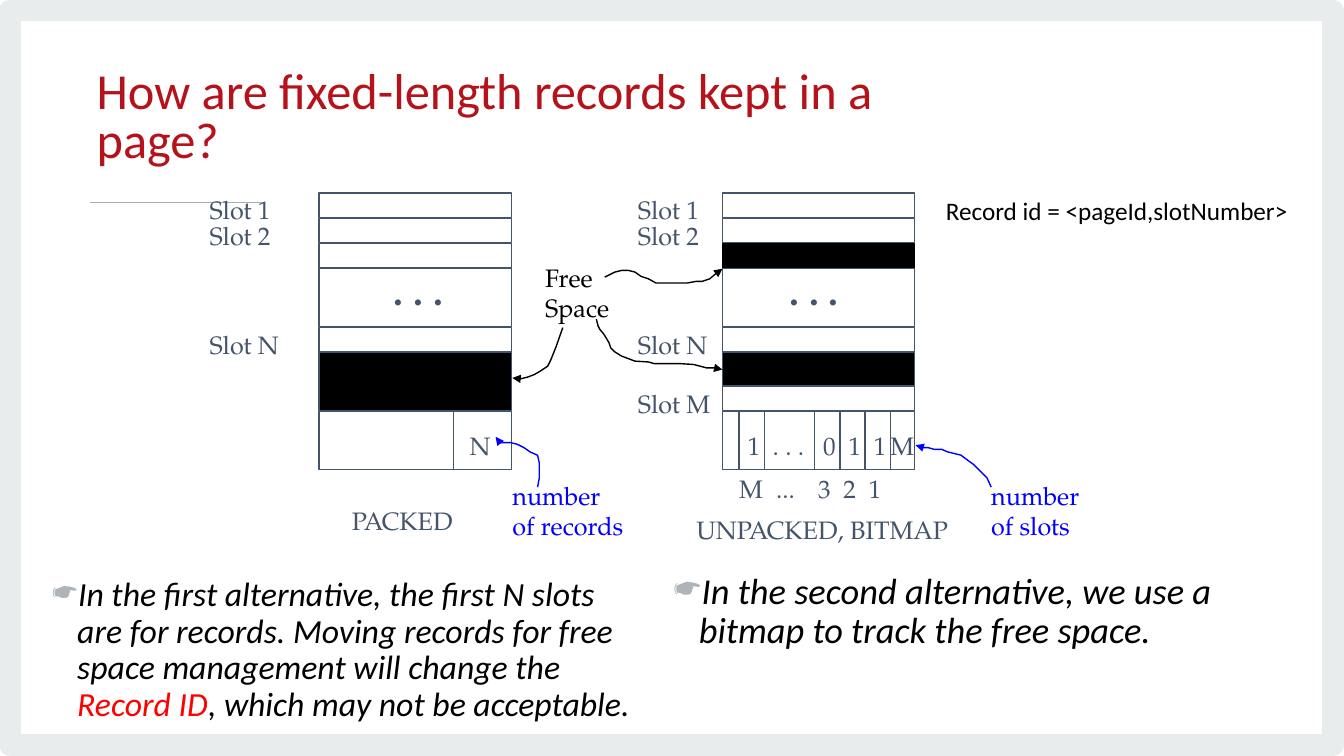
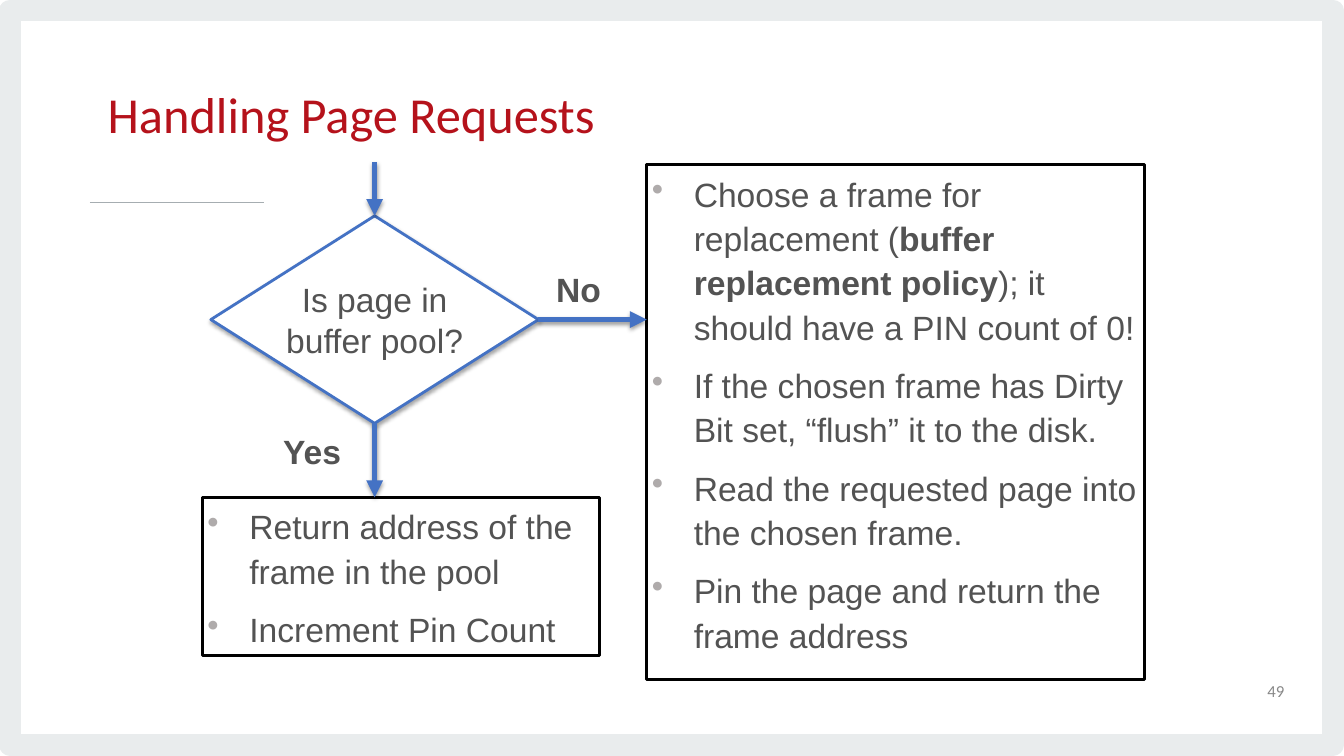
from dataclasses import dataclass, replace
from itertools import accumulate

from lxml.etree import SubElement as Sub
from pptx import Presentation
from pptx.dml.color import RGBColor as RGB
from pptx.enum.shapes import MSO_CONNECTOR as Link, MSO_SHAPE as Kind
from pptx.enum.text import MSO_ANCHOR as Anchor, PP_ALIGN as Align
from pptx.oxml.ns import qn
from pptx.util import Inches, Pt


@dataclass
class Style:
    font: str
    size: float
    color: str
    bold: bool = False
    ital: bool = False
    lead: object = None
    gap: float = 0
    mark: tuple = ()      # bullet sign, colour, indent
    align: object = Align.LEFT


class Theme:
    black, white, red, blue = "000000", "FFFFFF", "FF0000", "0000FF"
    frame, rule, slate, flow = "E9ECED", "A6ADB1", "44546A", "4472C4"
    title = Style("Calibri", 36, "B5121B", lead=Pt(34.7))
    body = Style("Calibri", 24.1, black, ital=True, lead=0.9,
                 mark=("☛", "AEB4B9", 3))
    wide = replace(body, size=26)
    fact = Style("Calibri", 18, black)
    foot = Style("Calibri", 12, "888888", align=Align.RIGHT)
    label = Style("TeX Gyre Pagella", 18, slate)
    dots = replace(label, size=28, bold=True)
    free = replace(label, color=black)
    note = replace(label, color=blue)
    step = Style("Arial", 24, "535353", lead=1.1, gap=10,
                 mark=("•", "AFABAB", 5))
    test = replace(step, lead=None, gap=0, mark=(), align=Align.CENTER)
    way = replace(test, bold=True, align=Align.LEFT)


T = Theme

# The grid has 160 columns and 90 rows, twelve to the inch
COLS, ROWS, UNIT = 160, 90, 12
FINE = 100  # steps of a curve in one grid unit

# Content: records in a page
HEAD_A = "How are fixed-length records kept in a page?"
TOP = 23
PAGES = [  # rows are (height, fill, edge, label)
    dict(left=38, side=23.75, cuts=[16], rows=[
        (3, None, T.slate, "Slot 1"), (3, None, T.slate, "Slot 2"),
        (3, None, T.slate, ""), (7, None, T.slate, ""),
        (3, None, T.slate, "Slot N"), (7, T.black, T.slate, ""),
        (7, None, T.slate, "")]),
    dict(left=86, side=74.75, cuts=list(accumulate([2, 3, 6, 3, 3, 3])), rows=[
        (3, None, T.slate, "Slot 1"), (3, None, T.slate, "Slot 2"),
        (3, T.black, T.black, ""), (7, None, T.slate, ""),
        (3, None, T.slate, "Slot N"), (4, T.black, T.slate, ""),
        (3, None, T.slate, "Slot M"), (7, None, T.slate, "")]),
]
BITS = ["1", ". . .", "0", "1", "1"]
INDEX, STOPS = "M\t...\t3\t2\t1", [4.4, 9.4, 12.4, 15.4]
LABELS = [
    (45.7, 31.1, [". . ."], T.dots), (92.8, 31.1, [". . ."], T.dots),
    (54.7, 50.6, ["N"], T.label), (104.8, 50.6, ["M"], T.label),
    (40.7, 59.6, ["PACKED"], T.label),
    (81.7, 60.6, ["UNPACKED, BITMAP"], T.label),
    (63.7, 30.6, ["Free", "Space"], T.free),
    (59.8, 56.6, ["number", "of records"], T.note),
    (116.8, 56.6, ["number", "of slots"], T.note),
]
CURVES = [
    (T.black, [(72, 33), (73.2, 32.4), (74, 32.2), (74.8, 32.2), (75.6, 32.4),
               (76.3, 32.9), (77.2, 33.2), (78.1, 33.7), (81.8, 33.7),
               (82.9, 33.5), (83.6, 33.5), (84.5, 33.2), (85.2, 32.6),
               (86, 32)]),
    (T.black, [(71, 38), (71.2, 38.8), (71.4, 39.2), (71.9, 39.8),
               (72.5, 40.8), (72.7, 41.4), (73.2, 41.9), (74, 42.4),
               (75.6, 43), (77.2, 43.1), (77.9, 43.3), (81, 43.3),
               (82.6, 43.4), (84.1, 43.8), (85, 43.8), (86, 44)]),
    (T.black, [(67, 39), (66.2, 41.3), (65.6, 42.8), (65.2, 43.6),
               (64.3, 44.2), (63.6, 44.6), (62.8, 44.9), (62, 45.1),
               (61.2, 45.1), (61, 45)]),
    (T.blue, [(64, 58), (64.2, 56.9), (64.2, 55.1), (64, 54.2), (63.1, 53.8),
              (62.4, 53.3), (61.6, 52.9), (60.8, 52.7), (59.3, 52.7),
              (59, 52)]),
    (T.blue, [(118, 58), (117.5, 56.9), (116.8, 56.2), (115.9, 55.3),
              (115.2, 54.8), (114.4, 54.2), (112.8, 53.8), (112.1, 53.5),
              (111.2, 53.5), (110.5, 53.3), (109.7, 53.3), (109, 53)]),
]
# A paragraph is a string, or a list of (text, changes of style)
BODIES = [
    ((5, 68.2, 72.7, 19), T.body, [[
        ("In the first alternative, the first N slots are for records. Moving "
         "records for free space management will change the ", {}),
        ("Record ID", {"color": T.red}),
        (", which may not be acceptable.", {})]]),
    ((79, 67.6, 72.7, 19), T.wide, [
        "In the second alternative, we use a bitmap to track the free space."]),
    ((111.4, 22.7, 44.8, 4.8), T.fact, ["Record id = <pageId,slotNumber>"]),
]

# Content: page requests
HEAD_B = "Handling Page Requests"
TEST = ["Is page in", "buffer pool?"]
STEPS = [
    ((24.1, 59.2, 47.3, 18.8), [
        "Return address of the frame in the pool", "Increment Pin Count"]),
    ((77, 19.6, 59.3, 61.3), [
        [("Choose a frame for replacement (", {}),
         ("buffer replacement policy", {"bold": True}),
         ("); it should have a PIN count of 0!", {})],
        "If the chosen frame has Dirty Bit set, “flush” it to the disk.",
        "Read the requested page into the chosen frame.",
        "Pin the page and return the frame address"]),
]
WAYS = [((33.1, 50.7, 10, 6), "Yes"), ((65.6, 31.4, 10, 6), "No")]


def grid(*vals):
    return [Inches(v / UNIT) for v in vals]


def ink(item, color, width, arrow=False, shade=None):
    """Set the outline, arrowhead and shadow of a shape or connector."""
    item.line.color.rgb = RGB.from_string(color)
    item.line.width = Pt(width)
    props = item._element.spPr
    if arrow:
        Sub(props.find(qn("a:ln")), qn("a:tailEnd"), type="triangle")
    fx = props.find(qn("a:effectLst"))
    if fx is None:
        fx = Sub(props, qn("a:effectLst"))
    if shade:
        dist, alpha = shade
        cast = Sub(fx, qn("a:outerShdw"), blurRad=str(Pt(3)),
                   dist=str(Pt(dist)), dir="5400000", rotWithShape="0")
        tint = Sub(cast, qn("a:srgbClr"), val=T.black)
        Sub(tint, qn("a:alpha"), val=str(alpha * 1000))


def paint(item, fill):
    if fill:
        item.fill.solid()
        item.fill.fore_color.rgb = RGB.from_string(fill)
    else:
        item.fill.background()


def shape(slide, box, fill, color, width, kind=Kind.RECTANGLE, shade=None):
    item = slide.shapes.add_shape(kind, *grid(*box))
    item.shadow.inherit = False
    paint(item, fill)
    ink(item, color, width, shade=shade)
    return item


def line(slide, start, end, color, width, **more):
    item = slide.shapes.add_connector(Link.STRAIGHT, *grid(*start, *end))
    ink(item, color, width, **more)
    return item


def curve(slide, color, dots):
    first, *rest = [(round(x * FINE), round(y * FINE)) for x, y in dots]
    pen = slide.shapes.build_freeform(*first, scale=Inches(1) / UNIT / FINE)
    pen.add_line_segments(rest, close=False)
    item = pen.convert_to_shape()
    item.shadow.inherit = False
    paint(item, None)
    ink(item, color, 1, arrow=True)


def dress(run, style):
    font = run.font
    font.name, font.size = style.font, Pt(style.size)
    font.bold, font.italic = style.bold, style.ital
    font.color.rgb = RGB.from_string(style.color)


def write(item, paras, style, pad=1.2, anchor=Anchor.TOP, wrap=True):
    frame = item.text_frame
    frame.word_wrap, frame.vertical_anchor = wrap, anchor
    frame.margin_left = frame.margin_right = Inches(pad / UNIT)
    frame.margin_top = frame.margin_bottom = Inches(0.05)
    for i, text in enumerate(paras):
        para = frame.add_paragraph() if i else frame.paragraphs[0]
        parts = [(text, {})] if isinstance(text, str) else text
        para.alignment = style.align
        if style.lead:
            para.line_spacing = style.lead
        if i and style.gap:
            para.space_before = Pt(style.gap)
        if style.mark:
            sign, color, indent = style.mark
            props = para._p.get_or_add_pPr()
            props.set("marL", str(grid(indent)[0]))
            props.set("indent", str(-grid(indent)[0]))
            Sub(Sub(props, qn("a:buClr")), qn("a:srgbClr"), val=color)
            Sub(props, qn("a:buChar"), char=sign)
        for words, change in parts:
            run = para.add_run()
            run.text = words
            dress(run, replace(style, **change))
    return frame


def words(slide, box, paras, style, **more):
    return write(slide.shapes.add_textbox(*grid(*box)), paras, style, **more)


def label(slide, x, y, paras, style):
    wide = 1.9 * max(map(len, paras)) + 4
    return words(slide, (x, y, wide, 5 * len(paras)), paras, style)


def base(deck, title, shift=0):
    """Add a slide with the shared frame, rule and title."""
    slide = deck.slides.add_slide(deck.slide_layouts[6])
    edge = shape(slide, (1.2, 1.2, COLS - 2.5, ROWS - 2.5), None, T.frame, 15.11)
    Sub(edge._element.spPr.find(qn("a:ln")), qn("a:round"))
    line(slide, (10.7, 24.1), (31.4, 24.1), T.rule, 1.33)
    words(slide, (10.3 + shift, 6.2, 108.2 - shift, 16.1), [title], T.title,
          anchor=Anchor.MIDDLE)
    return slide


def records(deck):
    slide = base(deck, HEAD_A)
    # Pages made of slots
    for page in PAGES:
        left, y = page["left"], TOP
        for high, fill, color, name in page["rows"]:
            shape(slide, (left, y, 22.9, high - 0.1), fill, color, 1)
            if name:
                label(slide, page["side"], y - 0.4, [name], T.label)
            y += high
        for cut in page["cuts"]:
            line(slide, (left + cut, y - high), (left + cut, y), T.slate, 1)
    # Bitmap and its index
    for cut, bit in zip(page["cuts"], BITS):
        label(slide, left + cut - 0.2, 50.6, [bit], T.label)
    frame = words(slide, (86.8, 55.7, 22, 5), [INDEX], T.label)
    tabs = Sub(frame.paragraphs[0]._p.get_or_add_pPr(), qn("a:tabLst"))
    for stop in STOPS:
        Sub(tabs, qn("a:tab"), pos=str(grid(stop)[0]), algn="l")
    # Labels, curved arrows and text
    for item in LABELS:
        label(slide, *item)
    for color, dots in CURVES:
        curve(slide, color, dots)
    for box, style, paras in BODIES:
        words(slide, box, paras, style)


def requests(deck):
    slide = base(deck, HEAD_B, shift=1.3)
    words(slide, (117.5, 79.9, 36, 4.8), ["49"], T.foot, pad=0.6,
          anchor=Anchor.MIDDLE)
    # Boxes and decision
    for box, paras in STEPS:
        write(shape(slide, box, None, T.black, 2), paras, T.step, pad=0.6)
    x, y, wide, high = 25.1, 25.7, 39, 24.7
    test = shape(slide, (x, y, wide, high), T.white, T.flow, 2, Kind.DIAMOND,
                 shade=(1.8, 35))
    write(test, TEST, T.test, pad=0.6, anchor=Anchor.MIDDLE, wrap=False)
    # Arrows
    mid, row = x + wide / 2, y + high / 2
    arrows = [((mid, 19.3), (mid, y), None, 0),
              ((x + wide, row), (STEPS[1][0][0], row), 3, None),
              ((mid, y + high), (mid, STEPS[0][0][1]), 2, None)]
    for start, end, out, into in arrows:
        link = line(slide, start, end, T.flow, 4, arrow=True, shade=(1.6, 38))
        if out is not None:
            link.begin_connect(test, out)
        if into is not None:
            link.end_connect(test, into)
    for box, name in WAYS:
        words(slide, box, [name], T.way, pad=0.6)


def main():
    deck = Presentation()
    deck.slide_width, deck.slide_height = grid(COLS, ROWS)
    records(deck)
    requests(deck)
    deck.save("out.pptx")


if __name__ == "__main__":
    main()
